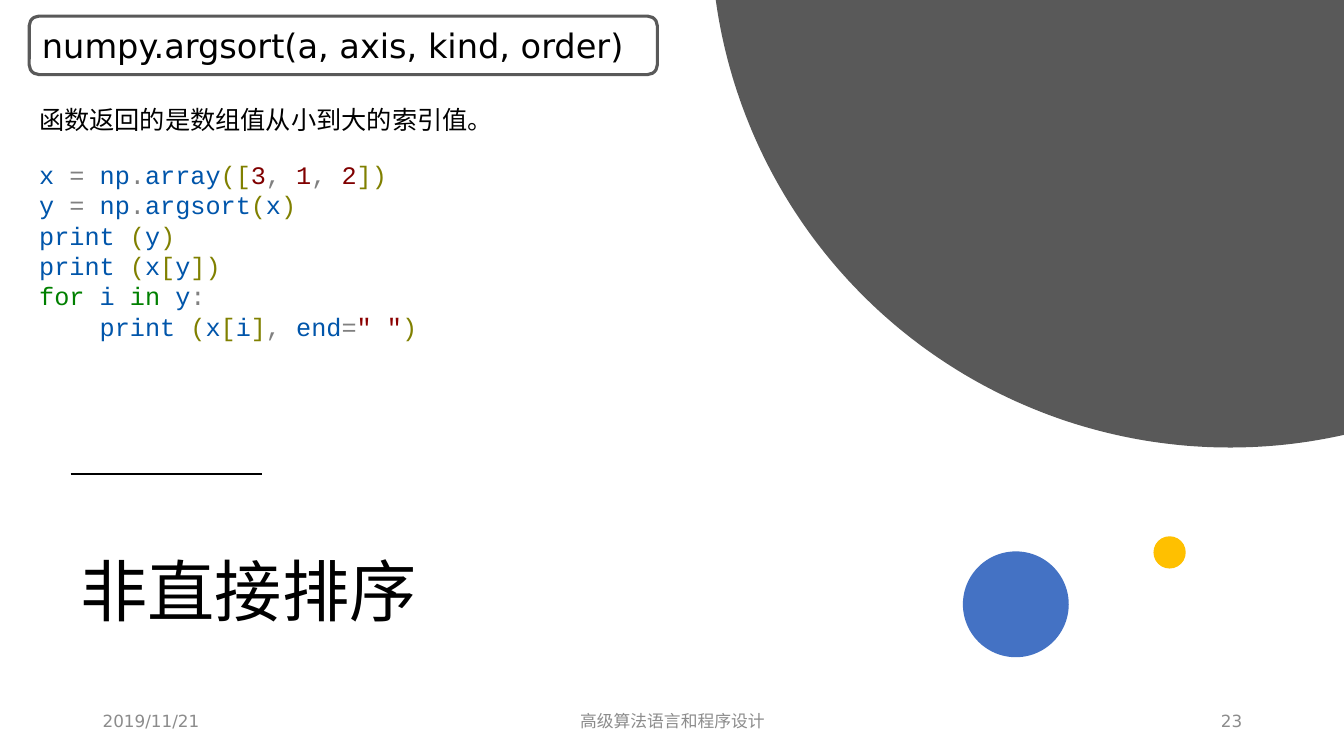
import math
from dataclasses import dataclass

from lxml import etree
from pptx import Presentation
from pptx.dml.color import RGBColor
from pptx.enum import shapes, text
from pptx.oxml import ns
from pptx import util as u

PX = 9144
CODE_TAB = 60


@dataclass(frozen=True)
class Theme:
    """Colours, fonts and type sizes of the slide."""
    ink: str = "000000"
    paper: str = "FFFFFF"
    dark: str = "595959"
    blue: str = "4472C4"
    gold: str = "FFC000"
    muted: str = "8C8C8C"
    name: str = "0055AA"
    operator: str = "808080"
    bracket: str = "808000"
    number: str = "800000"
    string: str = "8B0000"
    keyword: str = "008000"
    sans: str = "DejaVu Sans"
    cjk: str = "Noto Sans CJK SC"
    mono: str = "Courier New"
    title_size: int = 48
    heading_size: int = 24
    body_size: int = 18
    footer_size: int = 12
    code_leading: float = 21.65


THEME = Theme()
CODE = [
    (0, ["x", " = ", "np", ".", "array", "([", "3", ", ", "1", ", ", "2", "])"]),
    (0, ["y", " = ", "np", ".", "argsort", "(", "x", ")"]),
    (0, ["print ", "(", "y", ")"]),
    (0, ["print ", "(", "x", "[", "y", "])"]),
    (0, ["for ", "i ", "in ", "y", ":"]),
    (1, ["print ", "(", "x", "[", "i", "]", ", ", "end", "=", '" "', ")"]),
]


def px(*lengths):
    """Turn pixel lengths into EMU."""
    return [u.Emu(length * PX) for length in lengths]


def add_run(paragraph, words, size, color, font=THEME.sans):
    """Add one styled run to a paragraph."""
    run = paragraph.add_run()
    run.text = words
    run.font.size = u.Pt(size)
    run.font.name = font
    run.font.color.rgb = RGBColor.from_string(color)
    if not words.isascii():
        east_asian = etree.SubElement(run.font._element, ns.qn("a:ea"))
        east_asian.set("typeface", THEME.cjk)


def add_frame(slide, box, anchor=text.MSO_ANCHOR.TOP):
    """Add a wrapping text box and return its text frame."""
    frame = slide.shapes.add_textbox(*px(*box)).text_frame
    frame.word_wrap = True
    frame.vertical_anchor = anchor
    return frame


def paint(shape, fill, line=None):
    """Give a shape a flat fill and an optional outline."""
    shape.shadow.inherit = False
    shape.fill.solid()
    shape.fill.fore_color.rgb = RGBColor.from_string(fill)
    if line:
        shape.line.color.rgb = RGBColor.from_string(line)
        shape.line.width = u.Pt(2.25)
    else:
        shape.line.fill.background()


def token_color(token):
    """Choose the syntax colour of a code token."""
    word = token.strip()
    if word in ("for", "in"):
        return THEME.keyword
    if word.startswith('"'):
        return THEME.string
    if word.isdigit():
        return THEME.number
    if set(word) <= set("()[]"):
        return THEME.bracket
    return THEME.operator if set(word) <= set("=.,:") else THEME.name


def add_corner_disc(slide, box):
    """Draw the part of the large disc that lies inside the box."""
    left, top, width, height = box
    radius, right = 515, left + width
    center_x, center_y = left + 510, top + height - radius
    start = math.acos((right - center_x) / radius)
    end = math.pi - math.asin((top - center_y) / radius)
    steps = 120
    angles = [start + (end - start) * step / steps for step in range(steps + 1)]
    arc = [(round((center_x + radius * math.cos(a)) * PX),
            round((center_y + radius * math.sin(a)) * PX)) for a in angles]
    builder = slide.shapes.build_freeform(*px(left, top))
    builder.add_line_segments([px(right, top), *arc], close=True)
    paint(builder.convert_to_shape(), THEME.dark)


def add_dots(slide, box):
    """Draw the blue and the gold dot inside the box."""
    left, top, width, height = box
    blue, gold = 105, 32
    for x, y, size, color in (
        (left, top + height - blue, blue, THEME.blue),
        (left + width - gold, top, gold, THEME.gold),
    ):
        dot = slide.shapes.add_shape(shapes.MSO_SHAPE.OVAL, *px(x, y, size, size))
        paint(dot, color)


def add_title(slide, box):
    """Place the slide title under its short rule."""
    left, top = box[:2]
    rule = slide.shapes.add_connector(
        shapes.MSO_CONNECTOR.STRAIGHT, *px(left, top - 25, left + 190, top - 25))
    rule.line.color.rgb = RGBColor.from_string(THEME.ink)
    rule.line.width = u.Pt(1.5)
    etree.SubElement(rule._element.spPr, ns.qn("a:effectLst"))
    title = add_frame(slide, box, text.MSO_ANCHOR.MIDDLE).paragraphs[0]
    title.line_spacing = 0.9
    add_run(title, "非直接排序", THEME.title_size, THEME.ink, THEME.cjk)


def add_footer(slide, box):
    """Place date, course name and page number along the box."""
    left, top, width, height = box
    side, middle = 300, 450
    for x, span, words, align in (
        (left, side, "2019/11/21", text.PP_ALIGN.LEFT),
        (left + (width - middle) // 2, middle, "高级算法语言和程序设计", text.PP_ALIGN.CENTER),
        (left + width - side, side, "23", text.PP_ALIGN.RIGHT),
    ):
        frame = add_frame(slide, (x, top, span, height), text.MSO_ANCHOR.MIDDLE)
        frame.paragraphs[0].alignment = align
        add_run(frame.paragraphs[0], words, THEME.footer_size, THEME.muted)


def add_signature(slide, box):
    """Place the function signature in its rounded frame."""
    signature = slide.shapes.add_shape(shapes.MSO_SHAPE.ROUNDED_RECTANGLE, *px(*box))
    paint(signature, THEME.paper, THEME.dark)
    signature.text_frame.vertical_anchor = text.MSO_ANCHOR.MIDDLE
    paragraph = signature.text_frame.paragraphs[0]
    paragraph.alignment = text.PP_ALIGN.LEFT
    add_run(paragraph, "numpy.argsort(a, axis, kind, order)", THEME.heading_size, THEME.ink)


def add_example(slide, box):
    """Place the explanation and the code listing below it."""
    left, top, width, height = box
    note = add_frame(slide, (left, top, width, 40)).paragraphs[0]
    add_run(note, "函数返回的是数组值从小到大的索引值。", THEME.body_size, THEME.ink)
    listing = add_frame(slide, (left, top + 54, width, height - 54))
    for row, (depth, tokens) in enumerate(CODE):
        line = listing.add_paragraph() if row else listing.paragraphs[0]
        line.line_spacing = u.Pt(THEME.code_leading)
        line._p.get_or_add_pPr().set("marL", str(depth * CODE_TAB * PX))
        for token in tokens:
            add_run(line, token, THEME.body_size, token_color(token), THEME.mono)


def main():
    """Build the slide and save it."""
    deck = Presentation()
    deck.slide_width, deck.slide_height = px(1333, 750)
    slide = deck.slides.add_slide(deck.slide_layouts[6])
    add_corner_disc(slide, (710, 0, 623, 444))
    add_title(slide, (70, 495, 810, 190))
    add_dots(slide, (955, 532, 221, 120))
    add_footer(slide, (92, 695, 1150, 40))
    add_signature(slide, (29, 16, 623, 58))
    add_example(slide, (29, 99, 667, 246))
    deck.save("out.pptx")


if __name__ == "__main__":
    main()
